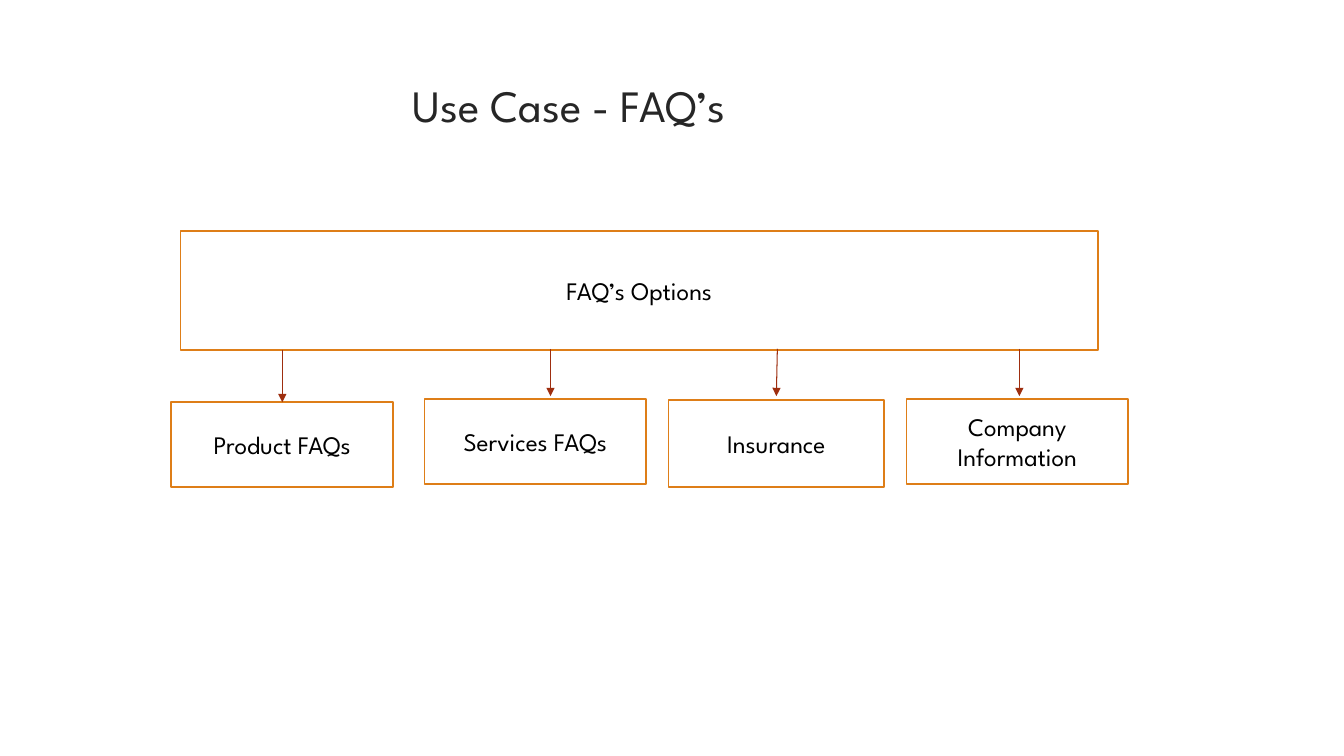
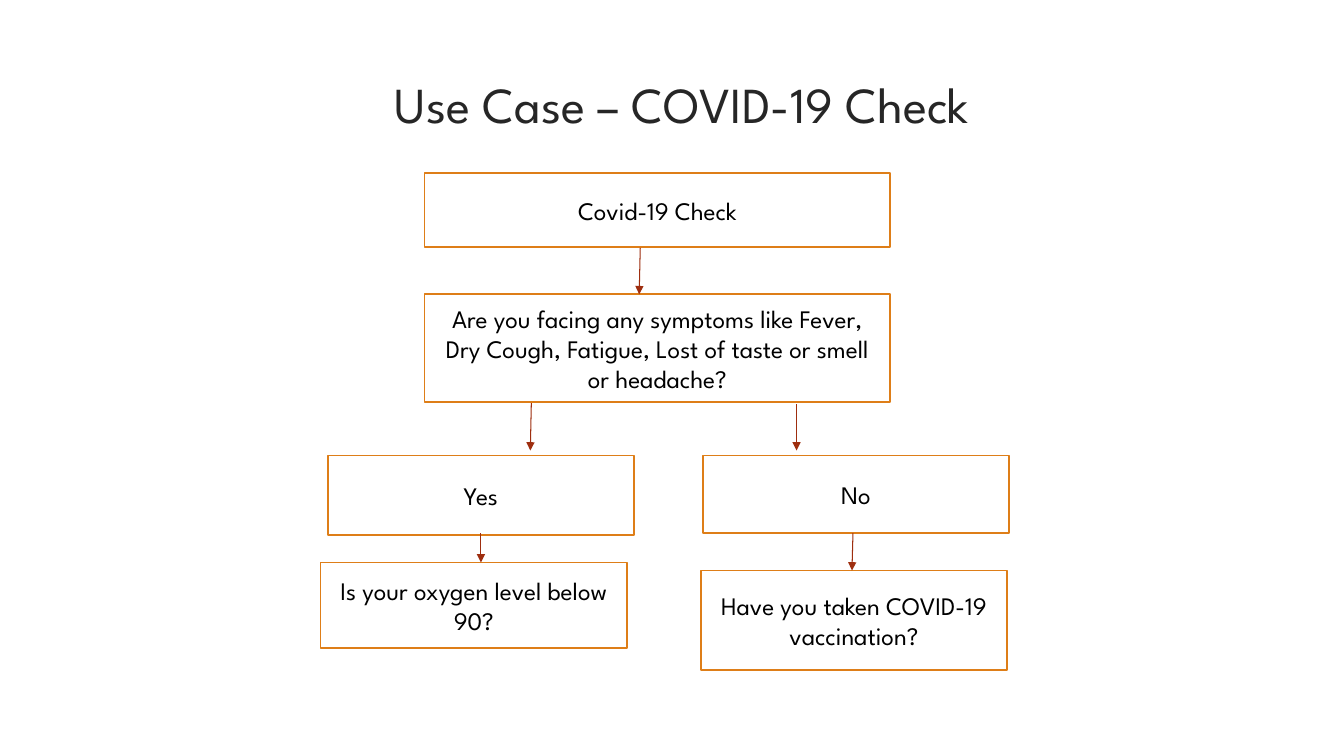
from lxml import etree
from pptx import Presentation
from pptx import util as u
from pptx.dml.color import RGBColor
from pptx.enum import shapes, text
from pptx.oxml.ns import qn

PX = 9144  # one px is a hundredth of an inch
FONT = "League Spartan"
COLORS = {
    "box_fill": "FFFFFF",
    "box_line": "DE7E18",
    "arrow": "9E2E0F",
    "title": "262626",
    "text": "000000",
}


def px(*lengths):
    return [u.Emu(length * PX) for length in lengths]


def color(name):
    return RGBColor.from_string(COLORS[name])


def add_run(paragraph, wording, size, color_name):
    run = paragraph.add_run()
    run.text = wording
    run.font.name = FONT
    run.font.size = u.Pt(size)
    run.font.bold = False
    run.font.color.rgb = color(color_name)


def add_titled_slide(deck, wording, place, size, align, indent=0, inset=5):
    slide = deck.slides.add_slide(deck.slide_layouts[5])
    title = slide.shapes.title
    title.left, title.top, title.width, title.height = px(*place)
    frame = title.text_frame
    frame.word_wrap = True
    frame.auto_size = text.MSO_AUTO_SIZE.NONE
    frame.vertical_anchor = text.MSO_ANCHOR.TOP
    frame.margin_top, = px(inset)
    paragraph = frame.paragraphs[0]
    paragraph.alignment = align
    paragraph._p.get_or_add_pPr().set("marL", str(indent * PX))
    add_run(paragraph, wording, size, "title")
    return slide


def add_box(slide, wording, left, top, width, height):
    box = slide.shapes.add_shape(
        shapes.MSO_SHAPE.RECTANGLE, *px(left, top, width, height))
    box.shadow.inherit = False
    box.fill.solid()
    box.fill.fore_color.rgb = color("box_fill")
    box.line.color.rgb = color("box_line")
    box.line.width = u.Pt(1.25)
    frame = box.text_frame
    frame.word_wrap = True
    frame.vertical_anchor = text.MSO_ANCHOR.MIDDLE
    paragraph = frame.paragraphs[0]
    paragraph.alignment = text.PP_ALIGN.CENTER
    add_run(paragraph, wording, 18, "text")


def add_arrow(slide, x, top, end_x, bottom):
    arrow = slide.shapes.add_connector(
        shapes.MSO_CONNECTOR.STRAIGHT, *px(x, top, end_x, bottom))
    arrow.line.color.rgb = color("arrow")
    arrow.line.width = u.Pt(0.75)
    etree.SubElement(arrow.line._get_or_add_ln(), qn("a:tailEnd"), type="triangle")
    etree.SubElement(arrow._element.spPr, qn("a:effectLst"))


def add_flow(slide, boxes, arrows):
    for box in boxes:
        add_box(slide, *box)
    for arrow in arrows:
        add_arrow(slide, *arrow)


def build_faq_slide(deck):
    # The deeper top inset keeps both titles on one baseline
    slide = add_titled_slide(deck, "Use Case - FAQ’s", (284, 68, 975, 140), 32,
                             text.PP_ALIGN.LEFT, indent=115, inset=9)
    add_flow(slide, [
        ("FAQ’s Options", 179, 229, 910, 118),
        ("Product FAQs", 170, 399, 220, 84),
        ("Services FAQs", 421, 396, 220, 84),
        ("Insurance", 663, 397, 214, 86),
        ("Company Information", 899, 396, 220, 84),
    ], [
        (280, 347, 280, 399),
        (546, 346, 546, 393),
        (771, 346, 770, 393),
        (1011, 346, 1011, 393),
    ])


def build_covid_slide(deck):
    slide = add_titled_slide(deck, "Use Case – COVID-19 Check",
                             (95, 68, 1163, 140), 36, text.PP_ALIGN.CENTER)
    question_left, question_width, answer_width = 421, 462, 304
    add_flow(slide, [
        ("Covid-19 Check", question_left, 172, question_width, 73),
        ("Are you facing any symptoms like Fever, Dry Cough, Fatigue, "
         "Lost of taste or smell or headache?",
         question_left, 292, question_width, 107),
        ("Yes", 325, 452, answer_width, 79),
        ("No", 697, 452, answer_width, 77),
        ("Is your oxygen level below 90?", 318, 558, answer_width, 85),
        ("Have you taken COVID-19 vaccination?", 695, 566, answer_width, 99),
    ], [
        (635, 246, 634, 292),
        (527, 400, 526, 447),
        (790, 401, 790, 447),
        (846, 529, 845, 566),
        (477, 529, 477, 558),
    ])


def main():
    deck = Presentation()
    deck.slide_width, deck.slide_height = px(1333, 750)
    build_faq_slide(deck)
    build_covid_slide(deck)
    deck.save("out.pptx")


if __name__ == "__main__":
    main()
